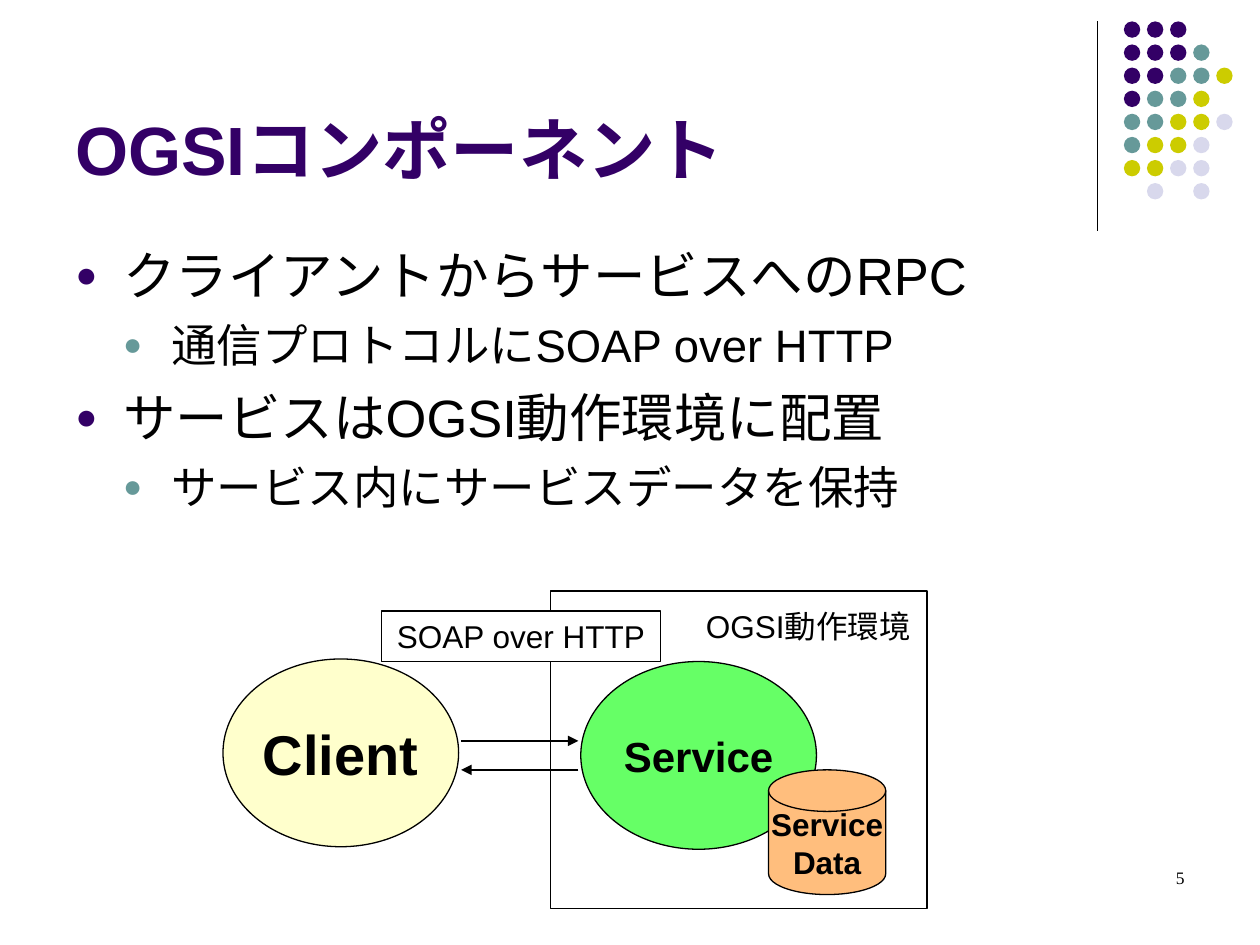
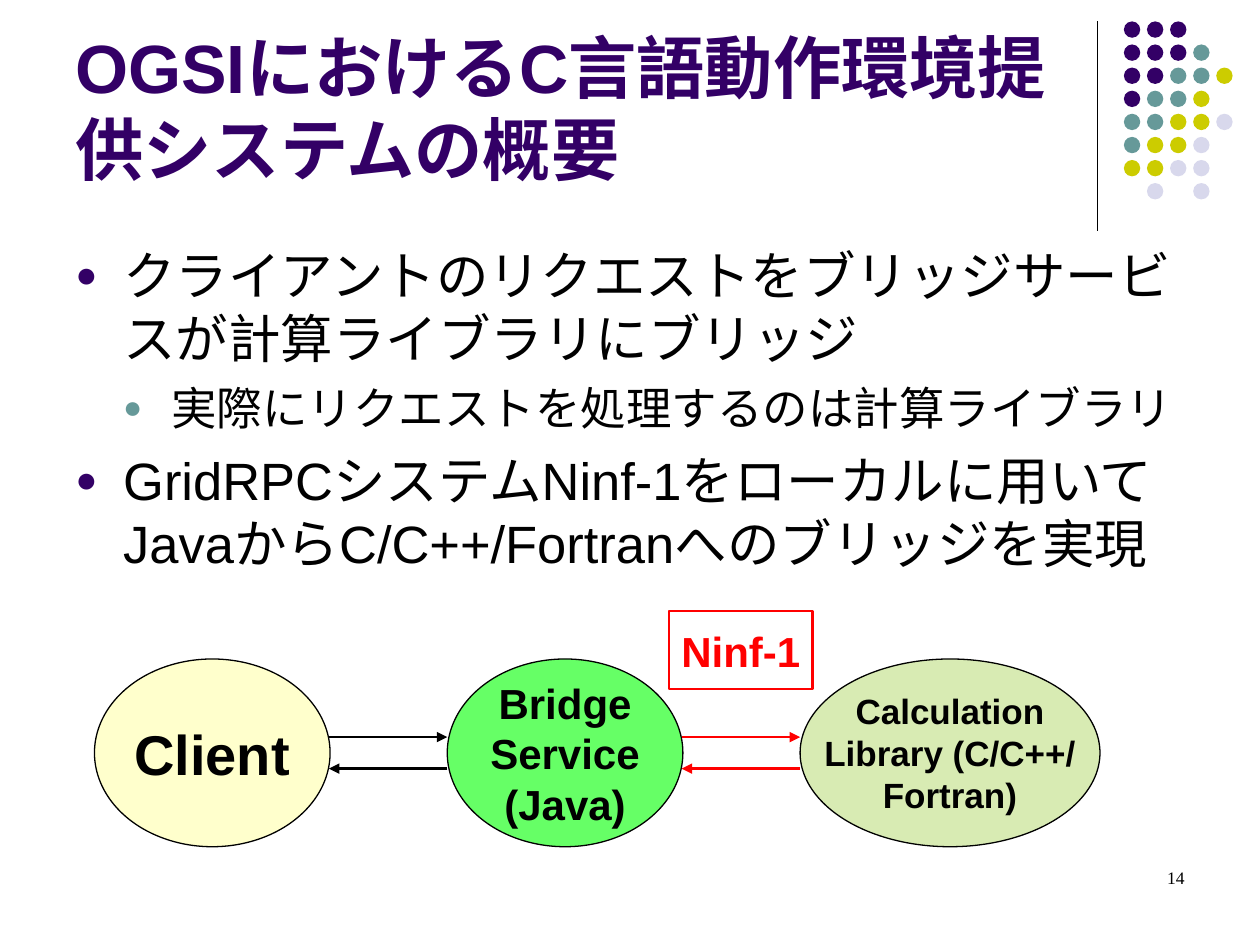
from lxml.etree import SubElement
from pptx import Presentation
from pptx.dml.color import RGBColor
from pptx.enum.shapes import MSO_CONNECTOR, MSO_SHAPE
from pptx.enum.text import MSO_ANCHOR, PP_ALIGN
from pptx.oxml.ns import qn
from pptx.util import Inches, Pt

COLORS = {
    "purple": "330066", "teal": "669999", "olive": "CCCC00", "lavender": "D8D8EC",
    "black": "000000", "white": "FFFFFF", "red": "FF0000",
    "client": "FFFFCC", "service": "66FF66", "data": "FFBE7D", "library": "D8EBB3",
}

# Corner dots: one letter per dot, one string per row
DOT_ROWS = ["PPP", "PPPT", "PPTTY", "PTTY", "TTYYL", "TYYL", "YYLL", " L L"]
DOT_COLORS = {"P": "purple", "T": "teal", "Y": "olive", "L": "lavender"}
DOT_SIZE = 0.13
DOT_PITCH = 0.55 / 3

# Body levels: text size, left margin, space before, bullet colour
LEVELS = [
    {"size": 30, "margin": 0.38, "space": 7.5, "bullet": "purple"},
    {"size": 26, "margin": 0.76, "space": 6.5, "bullet": "teal"},
]
HANGING = 0.38

# Diagram row shared by both slides
NODE_TOP, NODE_WIDTH, NODE_HEIGHT = 5.23, 1.87, 1.49


def rgb(name):
    return RGBColor.from_string(COLORS[name])


def add_run(paragraph, text, size, color="black", bold=False, font="Arial"):
    run = paragraph.add_run()
    run.text = text
    run.font.color.rgb = rgb(color)
    settings = {"name": font, "size": Pt(size), "bold": bold}
    for attribute, value in settings.items():
        setattr(run.font, attribute, value)


def write_lines(shape, lines, size, align=PP_ALIGN.CENTER,
                anchor=MSO_ANCHOR.MIDDLE, wrap=False, **run_format):
    frame = shape.text_frame
    settings = {"word_wrap": wrap, "vertical_anchor": anchor}
    for attribute, value in settings.items():
        setattr(frame, attribute, value)
    for index, line in enumerate(lines):
        paragraph = frame.paragraphs[0] if index == 0 else frame.add_paragraph()
        paragraph.alignment = align
        add_run(paragraph, line, size, **run_format)


def add_text(slide, box, text, size, **text_format):
    shape = slide.shapes.add_textbox(*map(Inches, box))
    write_lines(shape, [text], size, wrap=True, **text_format)


def add_figure(slide, kind, box, fill=None, line=None, width=0.75):
    shape = slide.shapes.add_shape(kind, *map(Inches, box))
    shape.shadow.inherit = False
    if fill:
        shape.fill.solid()
        shape.fill.fore_color.rgb = rgb(fill)
    else:
        shape.fill.background()
    if line:
        shape.line.color.rgb = rgb(line)
        shape.line.width = Pt(width)
    else:
        shape.line.fill.background()
    return shape


def add_node(slide, left, lines, size, fill, top=NODE_TOP, width=NODE_WIDTH):
    box = (left, top, width, NODE_HEIGHT)
    node = add_figure(slide, MSO_SHAPE.OVAL, box, fill, "black")
    write_lines(node, lines, size, bold=True)


def add_line(slide, start, end, color="black", width=0.75, arrow=False):
    connector = slide.shapes.add_connector(
        MSO_CONNECTOR.STRAIGHT, *map(Inches, start + end))
    connector.line.color.rgb = rgb(color)
    connector.line.width = Pt(width)
    properties = connector.element.spPr
    if arrow:
        SubElement(properties.find(qn("a:ln")), qn("a:tailEnd"), type="triangle")
    SubElement(properties, qn("a:effectLst"))


def add_exchange(slide, left, right, request_y, reply_y, color="black"):
    """Request arrow to the right and reply arrow back."""
    add_line(slide, (left, request_y), (right, request_y), color, 1.5, True)
    add_line(slide, (right, reply_y), (left, reply_y), color, 1.5, True)


def add_bullet(paragraph, level):
    properties = paragraph._p.get_or_add_pPr()
    properties.set("marL", str(Inches(level["margin"])))
    properties.set("indent", str(-Inches(HANGING)))
    color = SubElement(properties, qn("a:buClr"))
    SubElement(color, qn("a:srgbClr"), val=COLORS[level["bullet"]])
    SubElement(properties, qn("a:buSzPct"), val="70000")
    SubElement(properties, qn("a:buFont"), typeface="Arial")
    SubElement(properties, qn("a:buChar"), char="●")


def add_body(slide, items):
    box = slide.shapes.add_textbox(*map(Inches, (0.5, 1.88, 9, 4.82)))
    frame = box.text_frame
    frame.word_wrap = True
    for index, (depth, text) in enumerate(items):
        level = LEVELS[depth]
        paragraph = frame.add_paragraph() if index else frame.paragraphs[0]
        paragraph.level = depth
        add_bullet(paragraph, level)
        if index:
            paragraph.space_before = Pt(level["space"])
        add_run(paragraph, text, level["size"])


def add_corner(slide):
    add_line(slide, (8.71, 0.17), (8.71, 1.83))
    for row, letters in enumerate(DOT_ROWS):
        for column, letter in enumerate(letters):
            if letter in DOT_COLORS:
                box = (8.92 + column * DOT_PITCH, 0.17 + row * DOT_PITCH,
                       DOT_SIZE, DOT_SIZE)
                add_figure(slide, MSO_SHAPE.OVAL, box, DOT_COLORS[letter])


def add_page(presentation, title, number, items):
    """Start a slide with corner, title, body and page number."""
    slide = presentation.slides.add_slide(presentation.slide_layouts[6])
    add_corner(slide)
    add_text(slide, (0.5, 0.13, 8.25, 1.42), title, 39, color="purple", bold=True,
             align=PP_ALIGN.LEFT, anchor=MSO_ANCHOR.BOTTOM)
    add_body(slide, items)
    add_text(slide, (7.17, 6.83, 2.33, 0.5), number, 10, font="Times New Roman",
             align=PP_ALIGN.RIGHT, anchor=MSO_ANCHOR.TOP)
    return slide


def build_components(presentation):
    slide = add_page(presentation, "OGSIコンポーネント", "5", [
        (0, "クライアントからサービスへのRPC"),
        (1, "通信プロトコルにSOAP over HTTP"),
        (0, "サービスはOGSI動作環境に配置"),
        (1, "サービス内にサービスデータを保持"),
    ])
    # Runtime environment with the service and its data
    add_figure(slide, MSO_SHAPE.RECTANGLE, (4.37, 4.69, 2.99, 2.52),
               line="black", width=1)
    add_node(slide, 4.61, ["Service"], 24, "service", top=5.25)
    store = add_figure(slide, MSO_SHAPE.FLOWCHART_MAGNETIC_DISK,
                       (6.1, 6.11, 0.93, 0.99), "data", "black")
    write_lines(store, ["Service", "Data"], 18, bold=True)
    # Client and its calls
    add_node(slide, 1.77, ["Client"], 32, "client")
    add_exchange(slide, 3.66, 4.59, 5.88, 6.11)
    # Labels
    protocol = add_figure(slide, MSO_SHAPE.RECTANGLE, (3.03, 4.85, 2.21, 0.4),
                          "white", "black")
    write_lines(protocol, ["SOAP over HTTP"], 18)
    add_text(slide, (5.47, 4.77, 1.89, 0.4), "OGSI動作環境", 18)


def build_overview(presentation):
    slide = add_page(presentation, "OGSIにおけるC言語動作環境提供システムの概要", "14", [
        (0, "クライアントのリクエストをブリッジサービスが計算ライブラリにブリッジ"),
        (1, "実際にリクエストを処理するのは計算ライブラリ"),
        (0, "GridRPCシステムNinf-1をローカルに用いて"
            "JavaからC/C++/Fortranへのブリッジを実現"),
    ])
    # Client, bridge and library
    add_node(slide, 0.75, ["Client"], 32, "client")
    add_node(slide, 3.55, ["Bridge", "Service", "(Java)"], 24, "service")
    add_node(slide, 6.35, ["Calculation", "Library (C/C++/", "Fortran)"], 20,
             "library", width=2.38)
    # Calls between them
    add_exchange(slide, 2.61, 3.55, 5.85, 6.1)
    add_exchange(slide, 5.41, 6.35, 5.85, 6.1, "red")
    label = add_figure(slide, MSO_SHAPE.RECTANGLE, (5.31, 4.85, 1.14, 0.62),
                       line="red", width=1.5)
    write_lines(label, ["Ninf-1"], 24, color="red", bold=True)


def main():
    presentation = Presentation()
    presentation.slide_width = Inches(10)
    presentation.slide_height = Inches(7.5)
    build_components(presentation)
    build_overview(presentation)
    presentation.save("out.pptx")


if __name__ == "__main__":
    main()
